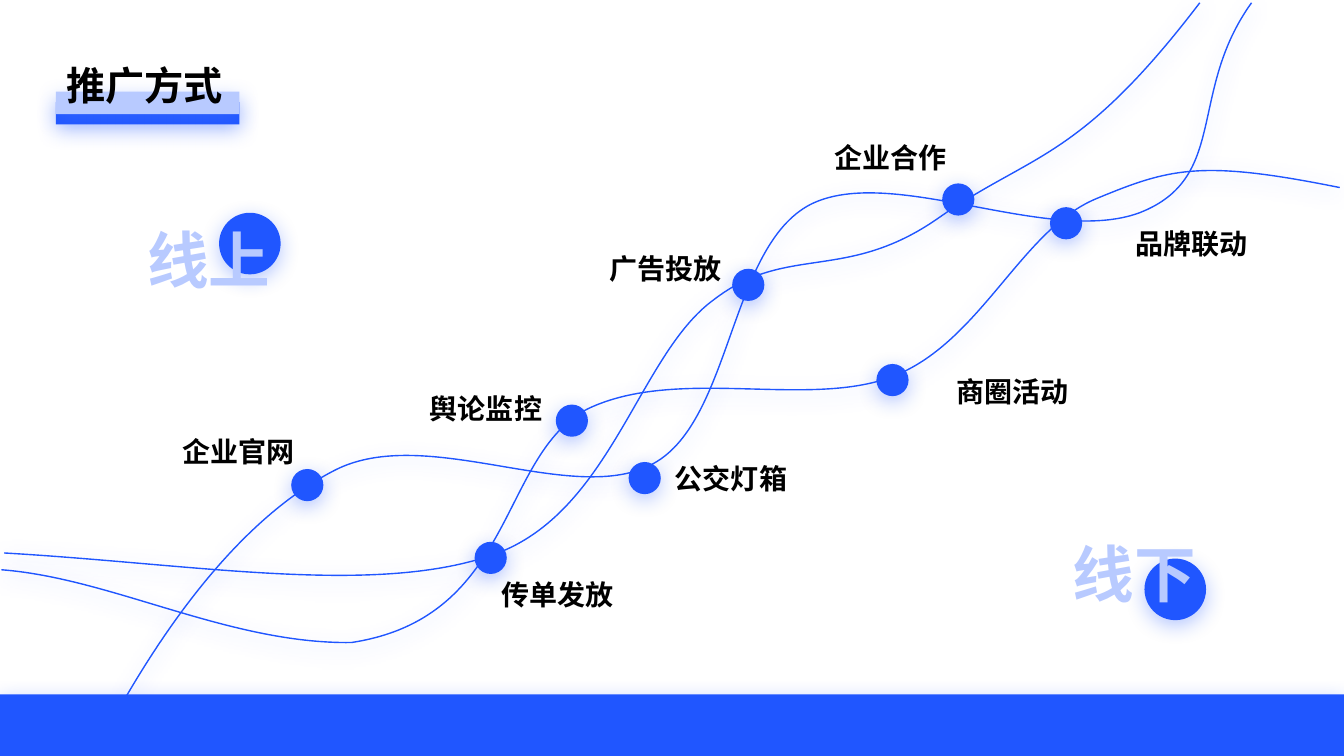
from pptx import Presentation
from pptx.dml.color import RGBColor
from pptx.enum import lang, shapes, text
from pptx.oxml import ns, xmlchemy
from pptx.util import Pt

INK = {"blue": "2056FF", "pale": "B8CAFF", "glow": "4A78FF", "black": "000000"}
CJK = "Noto Sans CJK SC"
RECT = shapes.MSO_SHAPE.RECTANGLE
OVAL = shapes.MSO_SHAPE.OVAL

CURVES = [
    [(70, 534), (116, 446), (173, 370), (239, 336), (305, 302), (410, 363),
     (467, 331), (523, 300), (521, 176), (579, 146), (637, 117), (749, 176),
     (814, 152), (878, 127), (848, 66), (894, 2)],
    [(957, 134), (858, 114), (836, 120), (783, 142), (730, 164), (701, 243),
     (640, 268), (580, 293), (485, 261), (420, 292), (356, 325), (369, 441),
     (251, 459), (163, 460), (80, 413), (1, 407)],
    [(3, 395), (141, 403), (268, 426), (353, 396), (437, 366), (456, 253),
     (510, 214), (562, 174), (604, 202), (670, 156), (737, 109), (770, 116),
     (857, 2)],
]

NODES = [
    ("企业官网", (208, 335), (123, 307)),
    ("传单发放", (339, 387), (351, 409)),
    ("舆论监控", (397, 289), (300, 276)),
    ("公交灯箱", (449, 330), (475, 326)),
    ("商圈活动", (626, 260), (676, 264)),
    ("广告投放", (523, 192), (428, 176)),
    ("企业合作", (673, 131), (589, 97)),
    ("品牌联动", (750, 148), (804, 158)),
]


def color(key):
    return RGBColor.from_string(INK[key])


def child(node, tag, **attrs):
    item = xmlchemy.OxmlElement(tag)
    for key, value in attrs.items():
        item.set(key, str(value))
    node.append(item)
    return item


def shade(shape, key="blue"):
    shape.shadow.inherit = False
    effects = shape._element.spPr.find(ns.qn("a:effectLst"))
    outer = child(effects, "a:outerShdw", blurRad=Pt(15), dist=Pt(4),
                  dir=5400000, algn="t", rotWithShape=0)
    tint = child(outer, "a:srgbClr", val=INK[key])
    child(tint, "a:alpha", val=32000)


def solid(slide, kind, box, fill="blue", glow="blue"):
    shape = slide.shapes.add_shape(kind, *map(Pt, box))
    shape.fill.solid()
    shape.fill.fore_color.rgb = color(fill)
    shape.line.fill.background()
    shade(shape, glow)


def write(shape, words, size=20, font=CJK, ink="black", wrap=False, space=None):
    frame = shape.text_frame
    frame.word_wrap = wrap
    frame.auto_size = text.MSO_AUTO_SIZE.NONE
    para = frame.paragraphs[0]
    para.alignment = text.PP_ALIGN.LEFT
    para.line_spacing = space
    run = para.add_run()
    run.text = words
    face = run.font
    face.size, face.bold, face.name = Pt(size), True, font
    face.color.rgb = color(ink)
    face.language_id = lang.MSO_LANGUAGE_ID.SIMPLIFIED_CHINESE
    child(run._r.get_or_add_rPr(), "a:ea", typeface=font)


def label(slide, box, words, **style):
    write(slide.shapes.add_textbox(*map(Pt, box)), words, **style)


def header(slide, box):
    x, y, w, h = box
    solid(slide, RECT, (x, y + 29, 131, 16))
    solid(slide, RECT, (x, y + 21.5, 131, 16), "pale", "glow")
    title = slide.shapes.title
    title.left, title.top, title.width, title.height = map(Pt, box)
    title.text_frame.vertical_anchor = text.MSO_ANCHOR.MIDDLE
    write(title, "推广方式", size=28, font="Arial", wrap=True, space=0.9)
    slide.shapes._spTree.append(title._element)


def curve(slide, box, points):
    dots = [(box[0] + x, box[1] + y) for x, y in points]
    build = slide.shapes.build_freeform(*dots[0], scale=Pt(1))
    build.add_line_segments(dots[1:], close=False)
    shape = build.convert_to_shape()
    lines = list(shape._element.iter(ns.qn("a:lnTo")))
    for start in range(0, len(lines), 3):
        group = lines[start:start + 3]
        bend = xmlchemy.OxmlElement("a:cubicBezTo")
        group[0].addprevious(bend)
        for line in group:
            bend.append(line[0])
            line.getparent().remove(line)
    shape.fill.background()
    shape.line.color.rgb = color("blue")
    shape.line.width = Pt(1)
    shade(shape)


def network(slide, box):
    left, top = box[:2]
    for points in CURVES:
        curve(slide, box, points)
    for words, (x, y), (tx, ty) in NODES:
        solid(slide, OVAL, (left + x, top + y, 23, 23))
        label(slide, (left + tx, top + ty, 95, 32), words)


def theme(slide, box, words, drop):
    x, y = box[:2]
    solid(slide, OVAL, (x + 58.5, y + drop, 44, 44))
    label(slide, box, words, size=44, font="Arial", ink="pale")


def main():
    deck = Presentation()
    deck.slide_width, deck.slide_height = Pt(960), Pt(540)
    slide = deck.slides.add_slide(deck.slide_layouts[5])
    solid(slide, RECT, (0, 496, 960, 44))
    header(slide, (40, 44, 400, 37))
    network(slide, (0, 0, 960, 540))
    theme(slide, (98, 155, 104, 60), "线上", -3)
    theme(slide, (759, 379, 104, 60), "线下", 20)
    deck.save("out.pptx")


if __name__ == "__main__":
    main()
